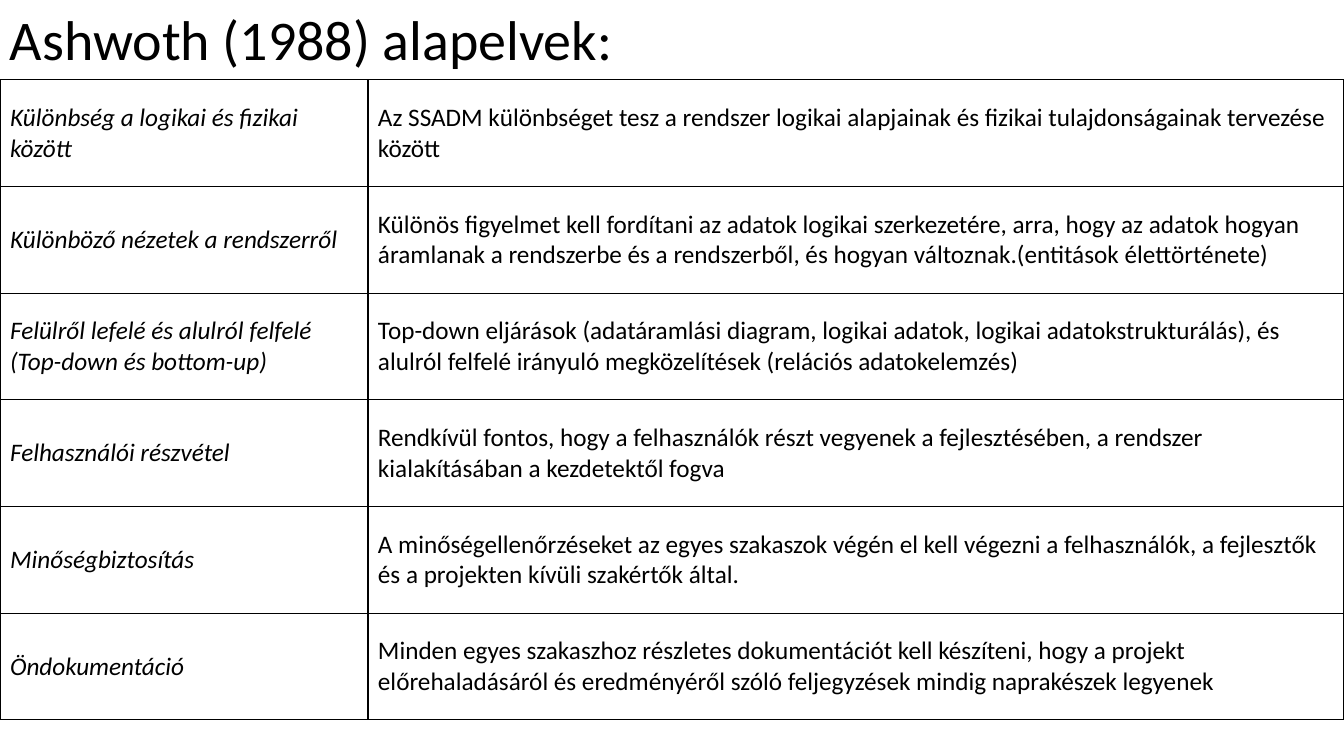
import pptx
import pptx.dml.color
import pptx.enum.text
import pptx.oxml
import pptx.oxml.ns
import pptx.util

PX = 7620
BLACK = "000000"
TABLE_TOP = 95
ROW_HEIGHT = 127
COLUMN_WIDTHS = [438, 1162]
PRINCIPLES = [
    (["Különbség a logikai és fizikai között"],
     "Az SSADM különbséget tesz a rendszer logikai alapjainak és fizikai tulajdonságainak tervezése között"),
    (["Különböző nézetek a rendszerről"],
     "Különös figyelmet kell fordítani az adatok logikai szerkezetére, arra, hogy az adatok hogyan "
     "áramlanak a rendszerbe és a rendszerből, és hogyan változnak.(entitások élettörténete)"),
    (["Felülről lefelé és alulról felfelé", "(Top-down és bottom-up)"],
     "Top-down eljárások (adatáramlási diagram, logikai adatok, logikai adatokstrukturálás), és "
     "alulról felfelé irányuló megközelítések (relációs adatokelemzés)"),
    (["Felhasználói részvétel"],
     "Rendkívül fontos, hogy a felhasználók részt vegyenek a fejlesztésében, a rendszer "
     "kialakításában a kezdetektől fogva"),
    (["Minőségbiztosítás"],
     "A minőségellenőrzéseket az egyes szakaszok végén el kell végezni a felhasználók, a fejlesztők "
     "és a projekten kívüli szakértők által."),
    (["Öndokumentáció"],
     "Minden egyes szakaszhoz részletes dokumentációt kell készíteni, hogy a projekt "
     "előrehaladásáról és eredményéről szóló feljegyzések mindig naprakészek legyenek"),
]


def color(value):
    return pptx.dml.color.RGBColor.from_string(value)


def write(frame, lines, size=18, italic=False, fill=BLACK):
    for index, line in enumerate(lines):
        para = frame.add_paragraph() if index else frame.paragraphs[0]
        span = para.add_run()
        span.text = line
        span.font.name = "Calibri"
        span.font.size = pptx.util.Pt(size)
        span.font.italic = italic
        span.font.color.rgb = color(fill)


deck = pptx.Presentation()
deck.slide_width = 1600 * PX
deck.slide_height = 900 * PX
page = deck.slides.add_slide(deck.slide_layouts[6])

title = page.shapes.add_textbox(0, 0, 1543 * PX, 92 * PX)
title.text_frame.word_wrap = True
title.text_frame.auto_size = pptx.enum.text.MSO_AUTO_SIZE.SHAPE_TO_FIT_TEXT
write(title.text_frame, ["Ashwoth (1988) alapelvek:"], size=40)

table = page.shapes.add_table(
    len(PRINCIPLES), len(COLUMN_WIDTHS), 0, TABLE_TOP * PX,
    sum(COLUMN_WIDTHS) * PX, len(PRINCIPLES) * ROW_HEIGHT * PX,
).table
table.first_row = False
table.horz_banding = False
for column, width in zip(table.columns, COLUMN_WIDTHS):
    column.width = width * PX

for row, (name, description) in enumerate(PRINCIPLES):
    table.rows[row].height = ROW_HEIGHT * PX
    for column, lines in enumerate([name, [description]]):
        cell = table.cell(row, column)
        cell.vertical_anchor = pptx.enum.text.MSO_ANCHOR.MIDDLE
        cell.margin_left = cell.margin_right = 12 * PX
        cell.margin_top = cell.margin_bottom = 6 * PX
        cell.fill.background()
        write(cell.text_frame, lines, italic=column == 0)
        properties = cell._tc.get_or_add_tcPr()
        for position, side in enumerate("LRTB"):
            border = pptx.oxml.parse_xml(
                f'<a:ln{side} {pptx.oxml.ns.nsdecls("a")} w="{pptx.util.Pt(1)}">'
                f'<a:solidFill><a:srgbClr val="{BLACK}"/></a:solidFill></a:ln{side}>'
            )
            properties.insert(position, border)

deck.save("out.pptx")
